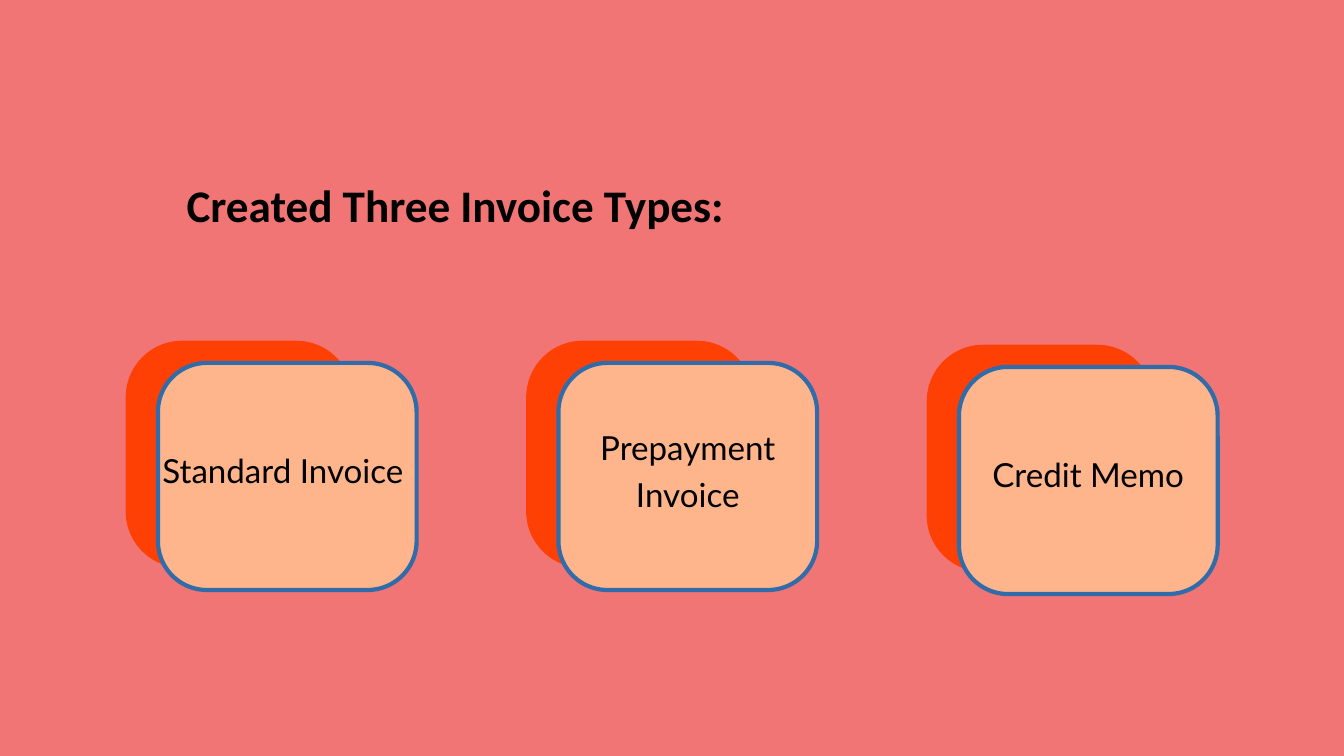
from pptx import Presentation
from pptx.dml.color import RGBColor
from pptx.enum.shapes import MSO_SHAPE
from pptx.enum.text import MSO_ANCHOR, MSO_AUTO_SIZE, PP_ALIGN
from pptx.util import Inches, Pt

COLORS = {
    "background": "F17575",
    "back_card": "FF4004",
    "front_card": "FFB58B",
    "outline": "316CAA",
    "text": "000000",
}


def write_text(shape, text, size, font, spacing, bold=False,
               anchor=MSO_ANCHOR.TOP, inset=0, auto_size=MSO_AUTO_SIZE.NONE):
    """Fill a shape with one centred paragraph; sizes and spacing in points."""
    frame = shape.text_frame
    frame.word_wrap = True
    frame.auto_size = auto_size
    frame.vertical_anchor = anchor
    frame.margin_left = frame.margin_right = Inches(inset)
    frame.margin_top = frame.margin_bottom = Inches(inset)
    para = frame.paragraphs[0]
    para.alignment = PP_ALIGN.CENTER
    para.line_spacing = Pt(spacing)
    para.space_before = Pt(0)
    span = para.add_run()
    span.text = text
    span.font.size = Pt(size)
    span.font.name = font
    span.font.bold = bold
    span.font.color.rgb = RGBColor.from_string(COLORS["text"])


def add_card(page, left, top, width, height, radius, fill, outline=None):
    card = page.shapes.add_shape(MSO_SHAPE.ROUNDED_RECTANGLE, Inches(left),
                                 Inches(top), Inches(width), Inches(height))
    card.shadow.inherit = False
    card.adjustments[0] = radius / min(width, height)
    card.fill.solid()
    card.fill.fore_color.rgb = RGBColor.from_string(COLORS[fill])
    if outline:
        card.line.color.rgb = RGBColor.from_string(COLORS[outline])
        card.line.width = Pt(4.5)
    else:
        card.line.fill.background()


deck = Presentation()
deck.slide_width, deck.slide_height = Inches(20), Inches(11.25)
page = deck.slides.add_slide(deck.slide_layouts[5])
page.background.fill.solid()
page.background.fill.fore_color.rgb = RGBColor.from_string(COLORS["background"])

title = page.shapes.title
title.left, title.top = Inches(2.34), Inches(2.51)
title.width, title.height = Inches(8.87), Inches(0.9)
write_text(title, "Created Three Invoice Types:", size=48.4, font="Calibri",
           spacing=67.7, bold=True, auto_size=MSO_AUTO_SIZE.SHAPE_TO_FIT_TEXT)

invoice_types = [
    ("Standard Invoice ", 5.07),
    ("Prepayment Invoice", 5.07),
    ("Credit Memo", 5.13),
]
for column, (name, top) in enumerate(invoice_types):
    left = 1.87 + column * 5.96
    front_left = left + 0.48
    add_card(page, left, top, 3.38, 3.38, 0.84, "back_card")
    add_card(page, front_left, top + 0.33, 3.85, 3.38, 0.73, "front_card", "outline")
    label = page.shapes.add_textbox(Inches(front_left), Inches(top + 0.06),
                                    Inches(3.85), Inches(3.65))
    write_text(label, name, size=35.5, font="Lato", spacing=49.7,
               anchor=MSO_ANCHOR.MIDDLE, inset=0.06)

deck.save("out.pptx")
